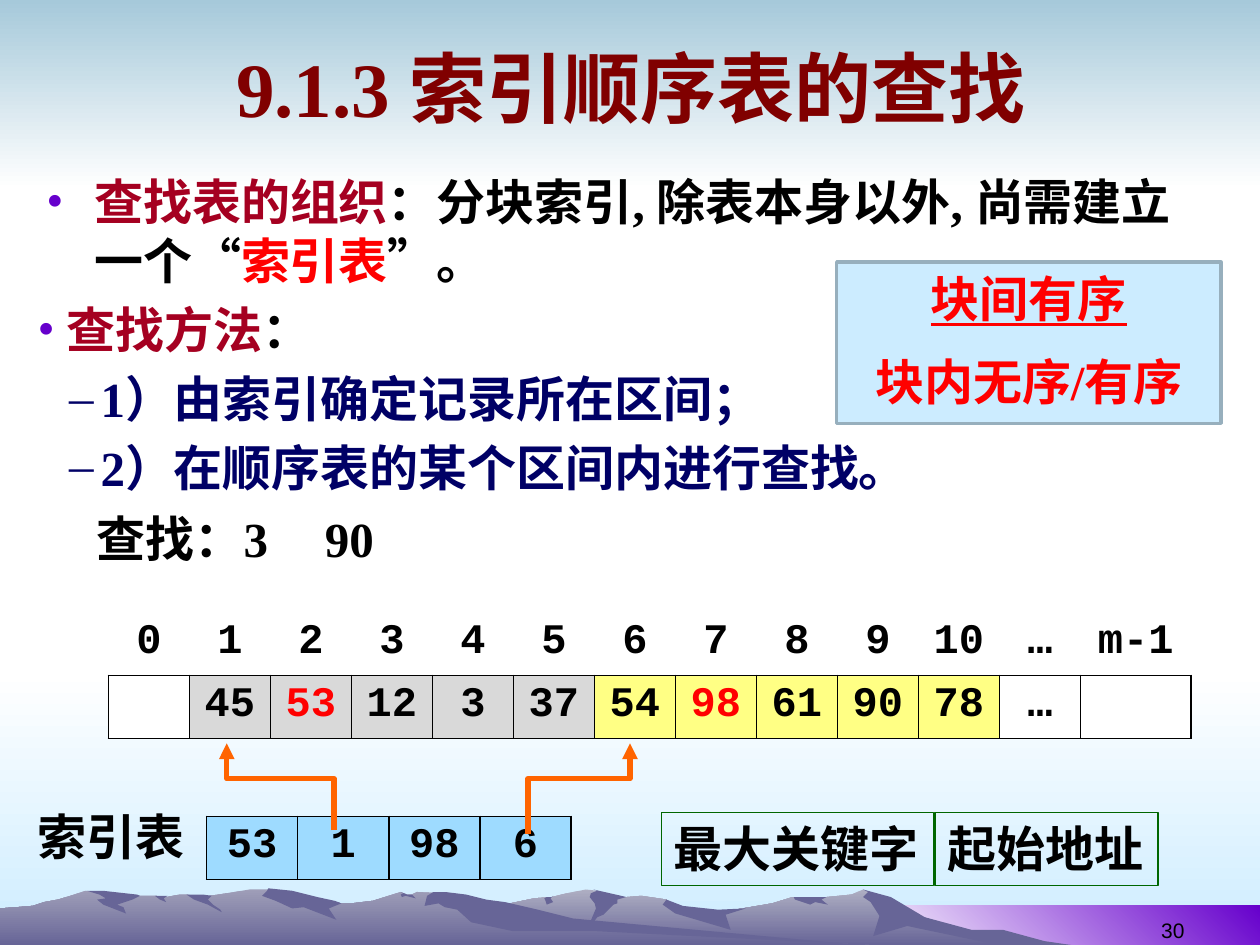
from dataclasses import dataclass

from lxml.etree import SubElement
from pptx import Presentation
from pptx.dml.color import RGBColor as Rgb
from pptx.enum.shapes import MSO_SHAPE as Shape
from pptx.enum.text import MSO_ANCHOR as Anchor, PP_ALIGN as Align
from pptx.oxml.ns import qn
from pptx.util import Inches, Pt


@dataclass(frozen=True)
class Theme:
    serif: str = "Times New Roman"
    mono: str = "Courier New"
    sans: str = "Arial"
    title_size: int = 44
    body_size: int = 28
    cell_size: int = 24
    number_size: int = 12
    black: str = "000000"
    white: str = "FFFFFF"
    title: str = "800000"
    heading: str = "A50021"
    red: str = "FF0000"
    navy: str = "000066"
    bullet: str = "6600CC"
    sky: str = "A6C9DA"
    pale: str = "CCECFF"
    callout_line: str = "97AFBD"
    green: str = "006600"
    ridge: str = "676597"
    far_top: str = "AEAEC2"
    near_top: str = "9F9EB8"
    block_one: str = "D9D9D9"
    block_two: str = "FFFF84"
    index: str = "9EDBFF"
    arrow: str = "FF6400"


T = Theme()

# Grid of 100 columns by 75 rows; outlines use tenths of a cell
COLUMNS, ROWS = 100, 75
CELL = Inches(0.1)

FAR_RANGE = """802,746 778,740 764,738 723,725 702,712 685,706 676,710 656,712 629,712
 613,717 566,725 536,721 529,714 509,711 486,713 474,707 465,706 450,709 438,712 424,713
 405,717 394,719 355,725 327,731 277,745 258,750 820,750"""
FAR_SHADES = [
    """796,738 771,738 734,728 707,712 685,706 689,708 685,712 691,716 698,727 693,743
 720,735 792,750 850,750 829,747""",
    """471,706 474,707 469,709 468,712 472,717 473,721 465,740 474,728 479,726 487,718
 490,717 490,714 497,712 493,711""",
    "529,714 526,718 536,725 580,738 576,726 592,721 570,722 542,719",
    "650,712 630,712 631,714 643,718 647,716 657,718 652,714 656,712",
    "433,715 432,713 434,712 438,712 439,711 437,713 439,716 434,718",
]
NEAR_RANGE = """690,750 667,749 432,732 354,709 331,708 327,710 323,710 318,708 296,715
 279,717 271,717 260,715 236,717 223,708 215,706 198,706 180,709 160,712 148,710 143,710
 132,712 123,711 111,711 94,712 68,707 56,711 46,714 35,716 26,719 14,720 0,721 0,750"""
NEAR_SHADES = [
    """212,707 208,711 219,715 232,721 241,720 267,730 261,721 271,717 266,715 252,712
 232,707 213,705""",
    """370,710 354,708 344,708 339,711 337,719 348,717 353,720 363,722 374,732 407,739
 472,739 690,750 683,750 455,729 427,722 401,716 386,714""",
    "318,710 320,709 318,708 323,710 327,710 330,713 322,711 319,712",
    "154,710 161,710 168,711 165,714 169,718 175,722 176,724 165,718 154,714 148,710",
    "133,711 130,713 132,716 127,714 123,711",
    "109,710 111,711 105,714 93,718 98,720 100,725 82,718 77,714 84,713 79,710 69,707 82,707",
]


def color(value):
    return Rgb.from_string(value)


def place(*cells):
    return [round(cell * CELL) for cell in cells]


def paint(shape, fill=None, line=None, width=1):
    """fill is None, one colour, or (first, last, clockwise angle)."""
    shape.shadow.inherit = False
    if fill is None:
        shape.fill.background()
    elif isinstance(fill, tuple):
        shape.fill.gradient()
        shape.fill.gradient_angle = 360 - fill[2]
        for stop, share, value in zip(shape.fill.gradient_stops, (0, 1), fill):
            stop.position = share
            stop.color.rgb = color(value)
    else:
        shape.fill.solid()
        shape.fill.fore_color.rgb = color(fill)
    if line:
        shape.line.color.rgb = color(line)
        shape.line.width = Pt(width)
    else:
        shape.line.fill.background()


def add_outline(page, points, close=True, **look):
    builder = page.shapes.build_freeform(*points[0], scale=CELL / 10)
    builder.add_line_segments(points[1:], close=close)
    shape = builder.convert_to_shape()
    paint(shape, **look)
    return shape


def add_ridge(page, text, fill):
    points = [tuple(map(int, pair.split(","))) for pair in text.split()]
    add_outline(page, points, fill=fill)


def add_rect(page, cells, **look):
    box = page.shapes.add_shape(Shape.RECTANGLE, *place(*cells))
    paint(box, **look)
    return box


def add_span(para, text, value=T.black, size=T.body_size, face=T.serif, bold=True):
    span = para.add_run()
    span.text = text
    font = span.font
    font.name, font.size, font.bold = face, Pt(size), bold
    font.color.rgb = color(value)
    return span


def set_bullet(para, char, left, hang, value):
    props = para._p.get_or_add_pPr()
    props.set("marL", str(Inches(left)))
    props.set("indent", str(-Inches(hang)))
    tint = SubElement(props, qn("a:buClr"))
    SubElement(tint, qn("a:srgbClr"), val=value)
    SubElement(props, qn("a:buFont"), typeface=T.serif)
    SubElement(props, qn("a:buChar"), char=char)


def fill_frame(box, paras, align=Align.LEFT, anchor=Anchor.TOP, wrap=True, before=0, bullets=()):
    """Each paragraph is a list of add_span arguments after the paragraph."""
    frame = box.text_frame
    frame.word_wrap, frame.vertical_anchor = wrap, anchor
    for number, spans in enumerate(paras):
        para = frame.add_paragraph() if number else frame.paragraphs[0]
        para.alignment, para.space_before = align, Pt(before)
        if bullets:
            set_bullet(para, *bullets[number])
        for span in spans:
            add_span(para, *span)


def add_text(page, cells, paras, **layout):
    fill_frame(page.shapes.add_textbox(*place(*cells)), paras, **layout)


def add_borders(cell):
    props = cell._tc.get_or_add_tcPr()
    for place_in_order, side in enumerate(("lnL", "lnR", "lnT", "lnB")):
        line = SubElement(props, qn(f"a:{side}"), w=str(Pt(1)))
        SubElement(SubElement(line, qn("a:solidFill")), qn("a:srgbClr"), val=T.black)
        props.insert(place_in_order, line)


def add_grid(page, left, top, widths, rows):
    """Each row holds (text, text colour, fill); no fill means no border."""
    height = 5
    frame = page.shapes.add_table(len(rows), len(widths),
                                  *place(left, top, sum(widths), height * len(rows)))
    for style in frame._element.iter(qn("a:tableStyleId")):
        style.text = "{2D5ABB26-0587-4C30-8999-92F81FD0307C}"
    table = frame.table
    table.first_row = table.horz_banding = False
    for column, width in zip(table.columns, widths):
        column.width, = place(width)
    for r, row in enumerate(rows):
        for c, (text, value, fill) in enumerate(row):
            cell = table.cell(r, c)
            if fill:
                cell.fill.solid()
                cell.fill.fore_color.rgb = color(fill)
                add_borders(cell)
            else:
                cell.fill.background()
            if text:
                para = cell.text_frame.paragraphs[0]
                para.alignment = Align.CENTER
                add_span(para, text, value, T.cell_size, T.mono)


def add_arrow(page, points):
    shape = add_outline(page, points, close=False, line=T.arrow, width=3)
    SubElement(shape.line._get_or_add_ln(), qn("a:tailEnd"), type="triangle")


def add_scenery(page):
    add_rect(page, (0, 53.3, COLUMNS, 21.7), fill=(T.white, T.pale, 90))
    add_rect(page, (0, 0, COLUMNS, 15), fill=(T.sky, T.white, 90))
    add_rect(page, (68.3, 71.9, 31.7, 3.1), fill=(T.white, T.bullet, 315))
    for mass, top, shades in ((FAR_RANGE, T.far_top, FAR_SHADES),
                              (NEAR_RANGE, T.near_top, NEAR_SHADES)):
        add_ridge(page, mass, (top, T.ridge, 90))
        for shade in shades:
            add_ridge(page, shade, T.ridge)


def add_wording(page):
    add_text(page, (71.7, 70.3, 23.3, 5), [[("30", T.black, T.number_size, T.sans, False)]],
             align=Align.RIGHT, anchor=Anchor.BOTTOM)
    add_text(page, (5.1, 1.3, 90, 11.2), [[("9.1.3 索引顺序表的查找", T.title, T.title_size)]],
             align=Align.CENTER, anchor=Anchor.MIDDLE)
    add_text(page, (2.7, 13.1, 94.5, 10),
             [[("查找表的组织", T.heading), ("：分块索引, 除表本身以外, 尚需建立一个“",),
               ("索引表", T.red), ("”。",)]],
             before=5.6, bullets=[("•", 0.38, 0.38, T.bullet)])
    # Index entry fields
    for left, width, label in ((52.5, 21.6, "最大关键字"), (74.2, 17.7, "起始地址")):
        field = add_rect(page, (left, 64.5, width, 5.8), line=T.green, width=0.75)
        fill_frame(field, [[(label,)]], wrap=False)
    # Ordering rule
    callout = add_rect(page, (66.4, 20.8, 30.5, 12.8), fill=T.pale, line=T.callout_line, width=2)
    fill_frame(callout, [[("块间有序", T.red)], [("块内无序/有序", T.red)]],
               align=Align.CENTER, before=14)
    callout.text_frame.paragraphs[0].runs[0].font.underline = True
    # Keys to look up and table label
    for left, top, width, label in ((6.7, 39.9, 17, "查找：3"), (24.8, 39.9, 5.9, "90"),
                                    (2, 63.5, 13.7, "索引表")):
        add_text(page, (left, top, width, 5.7), [[(label,)]], wrap=False)
    # Search method
    step = ("–", 0.5, 0.25, T.navy)
    add_text(page, (2, 23.3, 89.8, 16.9),
             [[("查找方法", T.heading), ("：",)], [("1）由索引确定记录所在区间；", T.navy)],
              [("2）在顺序表的某个区间内进行查找。", T.navy)]],
             before=5.6, bullets=[("•", 0.23, 0.23, T.bullet), step, step])


def add_tables(page):
    positions = [*map(str, range(11)), "…", "m-1"]
    keys = ["", "45", "53", "12", "3", "37", "54", "98", "61", "90", "78", "…", ""]
    fills = [T.white] + [T.block_one] * 5 + [T.block_two] * 5 + [T.white] * 2
    maxima = ("53", "98")
    add_grid(page, 8.6, 48.6, [6.43] * 12 + [8.76], [
        [(text, T.black, None) for text in positions],
        [(key, T.red if key in maxima else T.black, fill) for key, fill in zip(keys, fills)]])
    add_grid(page, 16.4, 64.8, [7.23] * 4,
             [[(text, T.black, T.index) for text in ("53", "1", "98", "6")]])
    # From each start address to the first key of its block
    for start, end, bottom in ((265, 180, 659), (419, 500, 662)):
        add_arrow(page, [(start, bottom), (start, 618), (end, 618), (end, 590)])


def main():
    deck = Presentation()
    deck.slide_width, deck.slide_height = place(COLUMNS, ROWS)
    page = deck.slides.add_slide(deck.slide_layouts[6])
    add_scenery(page)
    add_wording(page)
    add_tables(page)
    deck.save("out.pptx")


if __name__ == "__main__":
    main()
